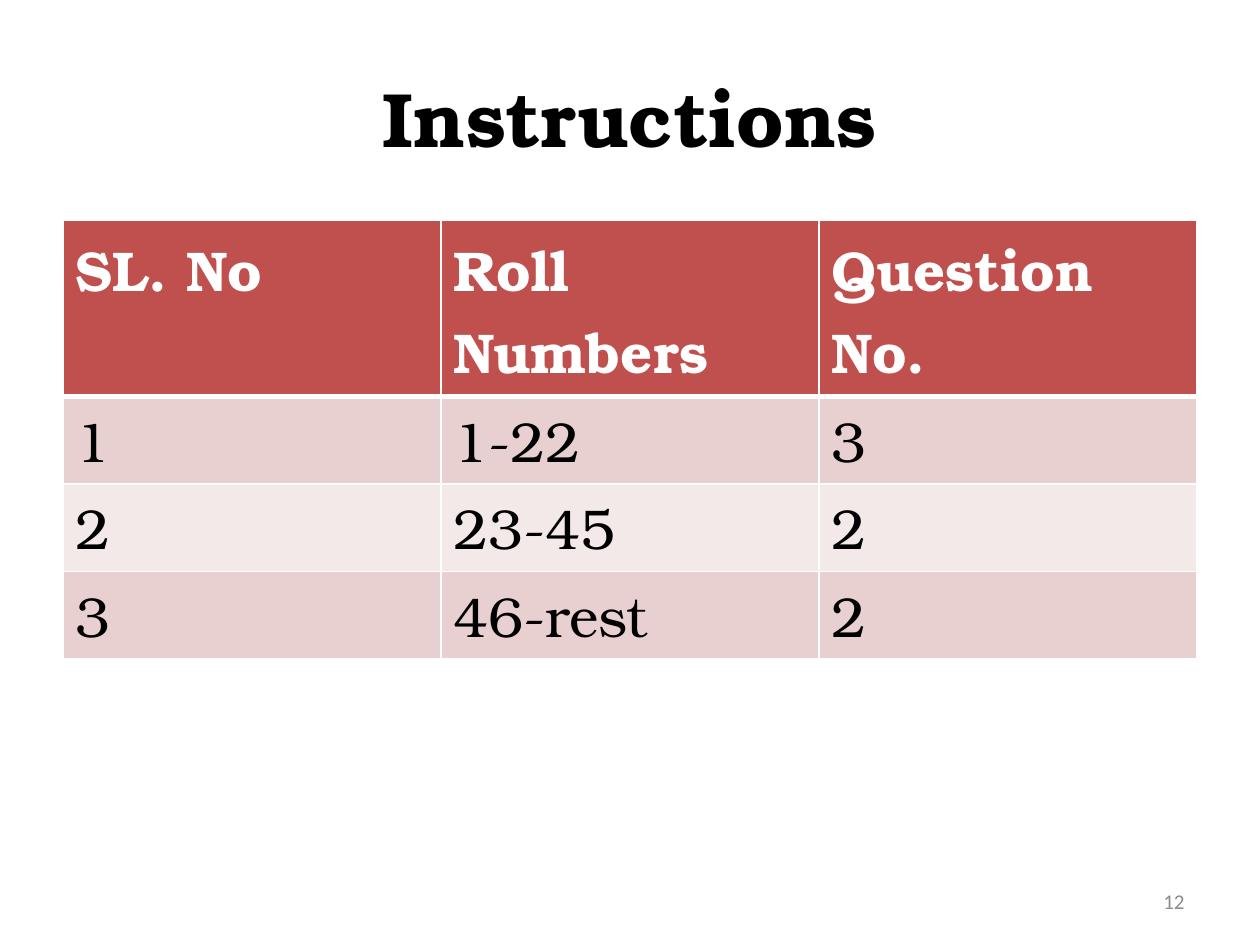
import pptx
import pptx.util
import pptx.dml.color
import pptx.enum.text
import pptx.oxml.ns
import lxml.etree

Pt = pptx.util.Pt
RGB = pptx.dml.color.RGBColor
ALIGN = pptx.enum.text.PP_ALIGN

BLACK = RGB(0x00, 0x00, 0x00)
WHITE = RGB(0xFF, 0xFF, 0xFF)
GREY = RGB(0x8C, 0x8C, 0x8C)
RED = RGB(0xC0, 0x50, 0x4D)
ROSE = RGB(0xE8, 0xD0, 0xD0)
PALE = RGB(0xF4, 0xE9, 0xE9)
SERIF = "TeX Gyre Bonum"
SANS = "Calibri"

ROWS = [
    ("SL. No", "Roll Numbers", "Question No."),
    ("1", "1-22", "3"),
    ("2", "23-45", "2"),
    ("3", "46-rest", "2"),
]


def style(para, face, size, color, bold=False):
    """Set the font of every run in a paragraph."""
    for run in para.runs:
        run.font.name = face
        run.font.size = Pt(size)
        run.font.color.rgb = color
        run.font.bold = bold


def label(slide, box, text, align, *look):
    """Place one line of text, centred vertically in its box."""
    frame = slide.shapes.add_textbox(*map(Pt, box)).text_frame
    frame.word_wrap = True
    frame.vertical_anchor = pptx.enum.text.MSO_ANCHOR.MIDDLE
    frame.text = text
    para = frame.paragraphs[0]
    para.alignment = align
    style(para, *look)


def edge(cell, side, width):
    """Draw one white border of a cell."""
    qn = pptx.oxml.ns.qn
    props = cell._tc.get_or_add_tcPr()
    line = lxml.etree.SubElement(props, qn(f"a:ln{side}"), w=str(Pt(width)))
    fill = lxml.etree.SubElement(line, qn("a:solidFill"))
    lxml.etree.SubElement(fill, qn("a:srgbClr"), val=str(WHITE))


def grid(slide, box, rows):
    """Place the table with a two-line red header and equal banded rows."""
    table = slide.shapes.add_table(len(rows), len(rows[0]), *map(Pt, box)).table
    band = 50
    top = box[3] - band * (len(rows) - 1)
    for r, texts in enumerate(rows):
        head = r == 0
        table.rows[r].height = Pt(top if head else band)
        for c, text in enumerate(texts):
            cell = table.cell(r, c)
            cell.text = text
            style(cell.text_frame.paragraphs[0], SERIF, 32,
                  WHITE if head else BLACK, head)
            for side in "LRTB":
                thick = (head and side == "B") or (r == 1 and side == "T")
                edge(cell, side, 3 if thick else 1)
            cell.fill.solid()
            cell.fill.fore_color.rgb = RED if head else ROSE if r % 2 else PALE


def main():
    """Build the slide and save it."""
    deck = pptx.Presentation()
    deck.slide_width, deck.slide_height = Pt(720), Pt(540)
    slide = deck.slides.add_slide(deck.slide_layouts[6])
    label(slide, (36, 21.6, 648, 90), "Instructions", ALIGN.CENTER,
          SERIF, 44, BLACK, True)
    grid(slide, (36, 126, 648, 250.5), ROWS)
    label(slide, (516, 500.5, 168, 28.75), "12", ALIGN.RIGHT, SANS, 12, GREY)
    deck.save("out.pptx")


if __name__ == "__main__":
    main()
